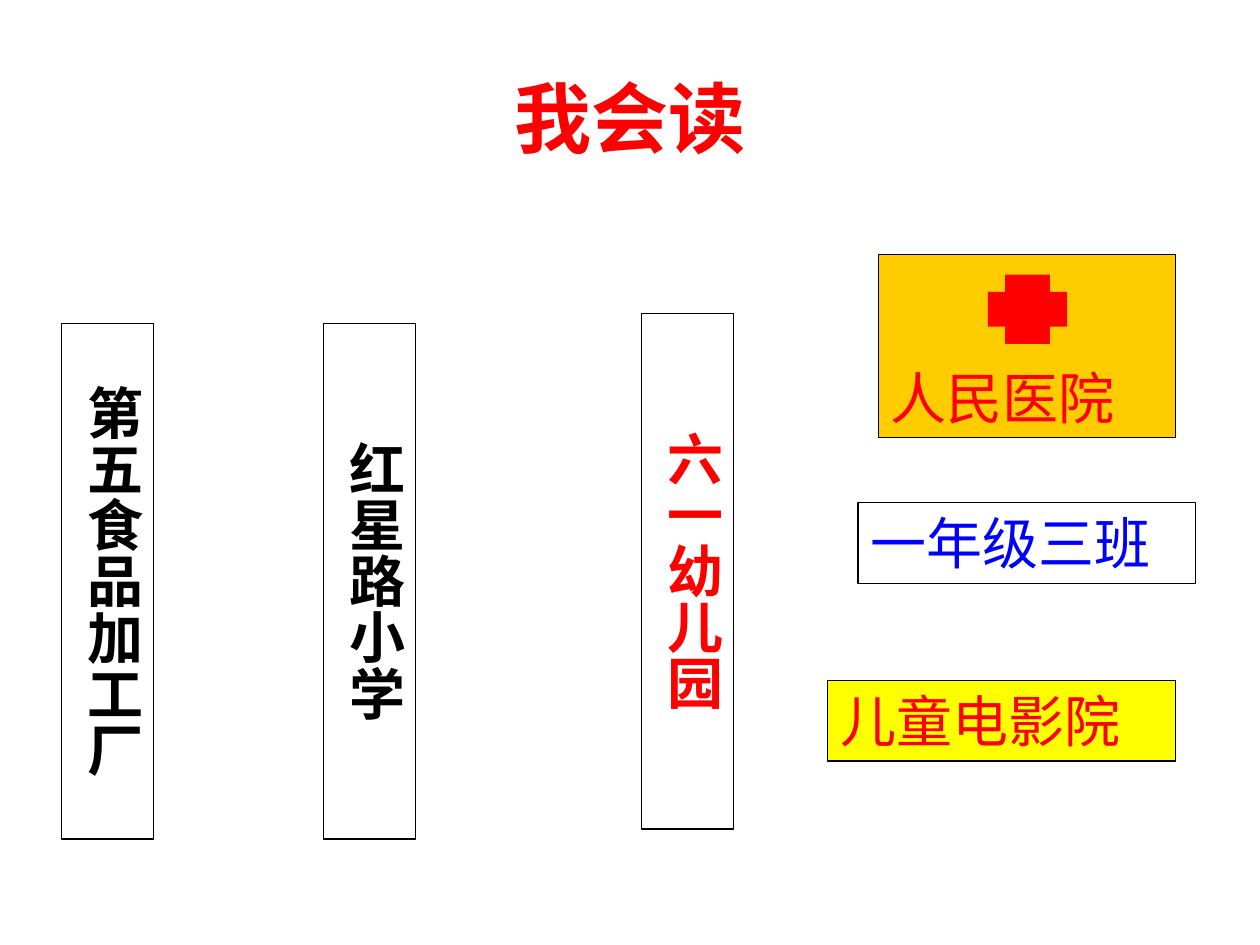
from pptx import Presentation
from pptx.dml.color import RGBColor
from pptx.enum.shapes import MSO_SHAPE
from pptx.enum.text import MSO_ANCHOR, PP_ALIGN
from pptx.util import Inches, Pt

RECT, CROSS = MSO_SHAPE.RECTANGLE, MSO_SHAPE.CROSS
TOP, MIDDLE, BOTTOM = MSO_ANCHOR.TOP, MSO_ANCHOR.MIDDLE, MSO_ANCHOR.BOTTOM
LEFT, CENTER = PP_ALIGN.LEFT, PP_ALIGN.CENTER
RED, BLACK, BLUE = "FF0000", "000000", "0000FF"
WHITE, YELLOW, ORANGE = "FFFFFF", "FFFF00", "FFCC00"
SIGN_SIZE = Pt(32)


def rgb(color):
    return RGBColor.from_string(color)


def add_sign(box, text, fill, color, anchor=TOP, vertical=False):
    sp = s.shapes.add_shape(RECT, *map(Inches, box))
    sp.shadow.inherit = False
    sp.fill.solid()
    sp.fill.fore_color.rgb = rgb(fill)
    sp.line.color.rgb = rgb(BLACK)
    sp.line.width = Pt(0.75)
    tf = sp.text_frame
    tf.word_wrap = True
    tf.vertical_anchor = anchor
    if vertical:
        tf._txBody.bodyPr.set("vert", "eaVert")
        tf.margin_left = tf.margin_right = Inches(0.05)
        # LibreOffice ignores centring in vertical text, so the inset centres the column
        tf.margin_top = (sp.height - len(text) * SIGN_SIZE) // 2
        tf.margin_bottom = Inches(0.1)
    p = tf.paragraphs[0]
    p.text = text
    p.alignment = LEFT
    p.font.name = "Arial"
    p.font.size = SIGN_SIZE
    p.font.bold = vertical
    p.font.color.rgb = rgb(color)


prs = Presentation()
prs.slide_width, prs.slide_height = Inches(10), Inches(7.5)
s = prs.slides.add_slide(prs.slide_layouts[5])

title = s.shapes.title
title.left, title.top = Inches(0.5), Inches(0.3)
title.width, title.height = Inches(9), Inches(1.25)
title.text_frame.vertical_anchor = MIDDLE
p = title.text_frame.paragraphs[0]
p.text = "我会读"
p.alignment = CENTER
p.font.name = "Arial"
p.font.size = Pt(44)
p.font.bold = True
p.font.color.rgb = rgb(RED)

add_sign((6.57, 5.4, 2.76, 0.64), "儿童电影院", YELLOW, RED)
add_sign((6.81, 3.99, 2.68, 0.64), "一年级三班", WHITE, BLUE)
add_sign((6.97, 2.02, 2.36, 1.45), "人民医院", ORANGE, RED, anchor=BOTTOM)

for left, top, text, color in [
    (0.49, 2.57, "第五食品加工厂", BLACK),
    (2.57, 2.57, "红星路小学", BLACK),
    (5.09, 2.49, "六一幼儿园", RED),
]:
    add_sign((left, top, 0.73, 4.09), text, WHITE, color, vertical=True)

cross = s.shapes.add_shape(CROSS, Inches(7.84), Inches(2.18), Inches(0.63), Inches(0.55))
cross.shadow.inherit = False
cross.adjustments[0] = 0.25
cross.fill.solid()
cross.fill.fore_color.rgb = rgb(RED)
cross.line.fill.background()

prs.save("out.pptx")
